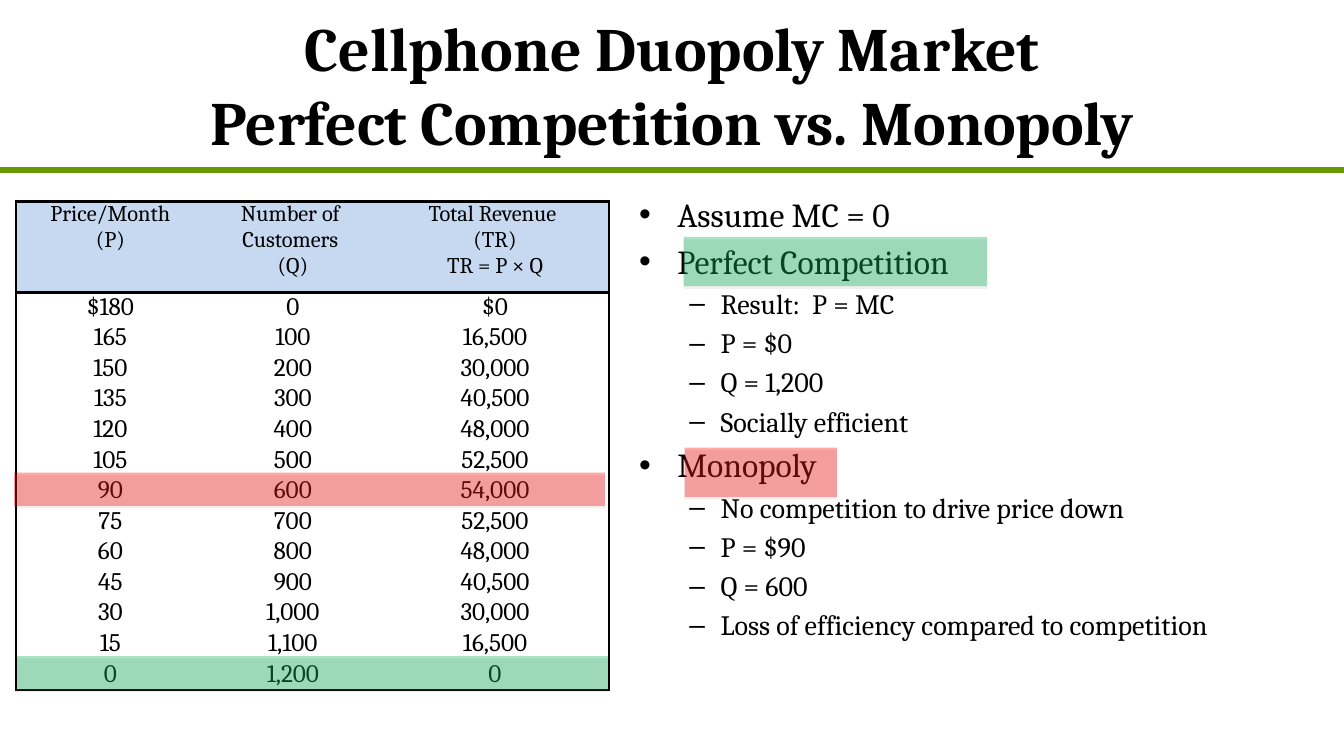
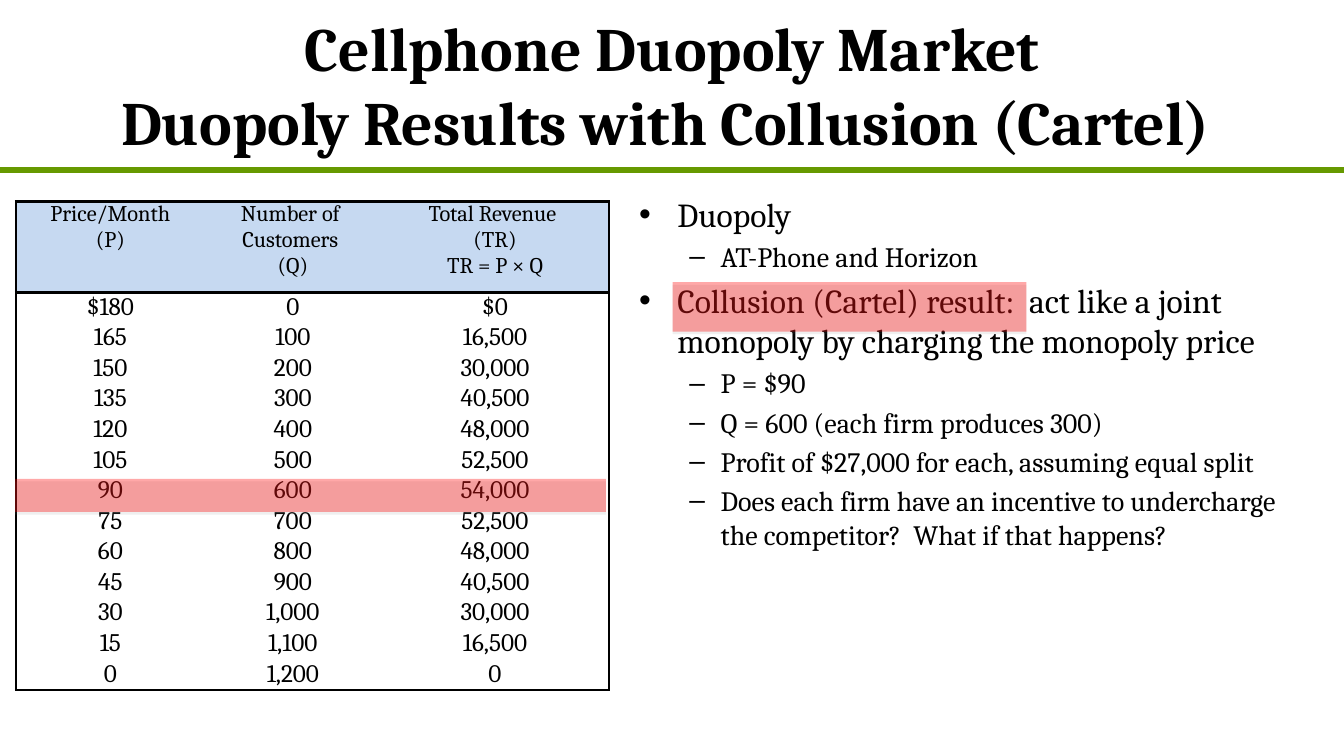
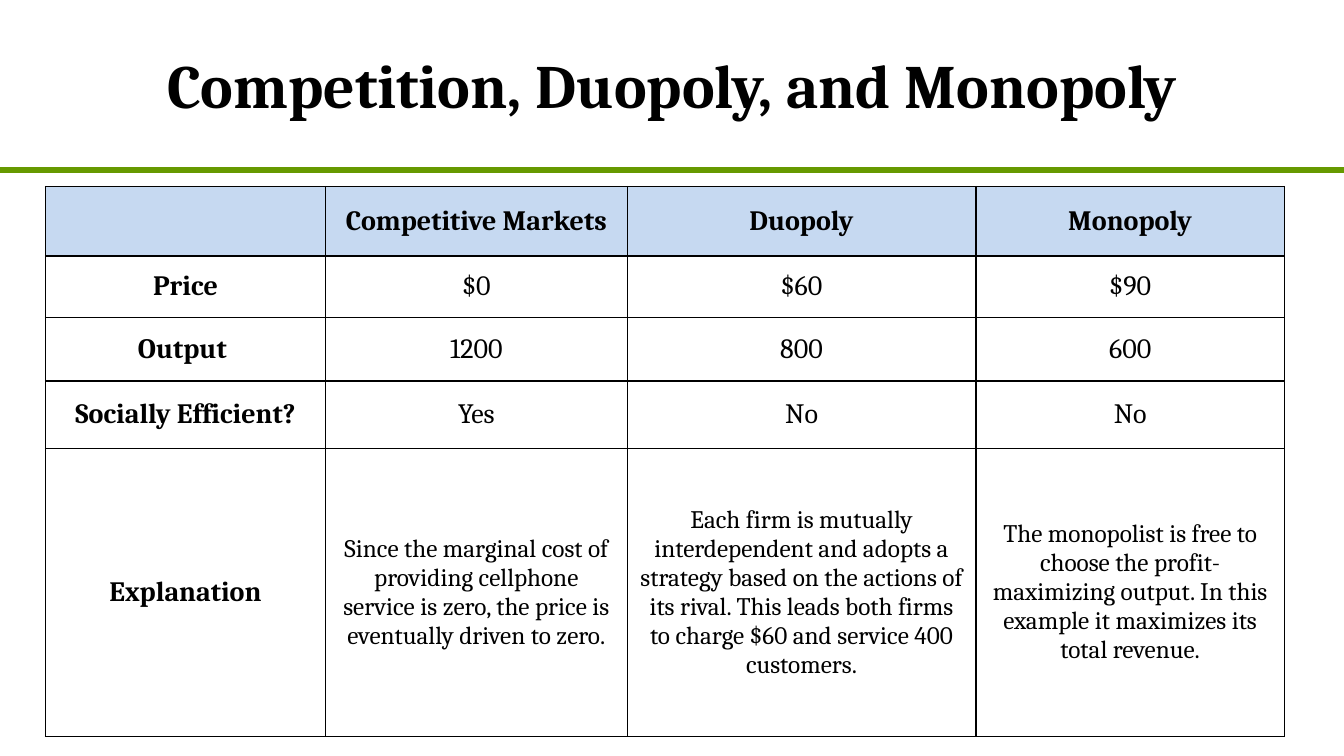
from lxml.etree import SubElement
from pptx import Presentation
from pptx.dml.color import RGBColor
from pptx.enum.shapes import MSO_CONNECTOR, MSO_SHAPE
from pptx.enum.text import MSO_ANCHOR, PP_ALIGN
from pptx.oxml import parse_xml
from pptx.oxml.ns import nsdecls, qn
from pptx.util import Inches, Pt

FONT = "Cambria"
BLACK = RGBColor(0x00, 0x00, 0x00)
RULE_GREEN = RGBColor(0x66, 0x99, 0x00)
HEADER_BLUE = RGBColor(0xC6, 0xD9, 0xF1)
GREEN = RGBColor(0x00, 0xB0, 0x50)
RED = RGBColor(0xFF, 0x00, 0x00)
SHADOW_GREY = RGBColor(0x80, 0x80, 0x80)
HIGHLIGHT_OPACITY = 34

SLIDE_WIDTH, SLIDE_HEIGHT = 13.33, 7.5
RULE_TOP = 1.69

# Level: bullet, left margin, hanging indent, text size
BULLETS = [("•", 0.38, 0.38, 24), ("–", 0.81, 0.31, 20)]

DEMAND_HEADER = [
    "Price/Month\n(P)",
    "Number of \nCustomers \n(Q)",
    "Total Revenue \n(TR)\nTR = P × Q",
]
DEMAND_COLUMNS = [1.87, 1.75, 2.26]
DEMAND_HEIGHT, DEMAND_HEADER_HEIGHT = 4.85, 0.9
TOP_PRICE, PRICE_STEP, QUANTITY_STEP, PRICE_COUNT = 180, 15, 100, 13

# Points are (level, text); highlights are (left, top, width, height, colour)
MARKET_SLIDES = [
    {
        "title": "Cellphone Duopoly Market\nPerfect Competition vs. Monopoly",
        "points": [
            (0, "Assume MC = 0"),
            (0, "Perfect Competition"),
            (1, "Result:  P = MC"),
            (1, "P = $0"),
            (1, "Q = 1,200"),
            (1, "Socially efficient"),
            (0, "Monopoly"),
            (1, "No competition to drive price down"),
            (1, "P = $90"),
            (1, "Q = 600"),
            (1, "Loss of efficiency compared to competition"),
        ],
        "highlights": [
            (6.78, 2.35, 3.01, 0.49, GREEN),
            (0.17, 6.51, 5.86, 0.33, GREEN),
            (0.14, 4.69, 5.86, 0.33, RED),
            (6.79, 4.44, 1.51, 0.49, RED),
        ],
    },
    {
        "title": "Cellphone Duopoly Market\nDuopoly Results with Collusion (Cartel) ",
        "points": [
            (0, "Duopoly"),
            (1, "AT-Phone and Horizon"),
            (0, "Collusion (Cartel) result:  act like a joint monopoly "
                "by charging the monopoly price"),
            (1, "P = $90"),
            (1, "Q = 600 (each firm produces 300)"),
            (1, "Profit of $27,000 for each, assuming equal split"),
            (1, "Does each firm have an incentive to undercharge the competitor?  "
                "What if that happens?"),
        ],
        "highlights": [
            (0.15, 4.75, 5.86, 0.33, RED),
            (6.67, 2.8, 3.51, 0.49, RED),
        ],
    },
]

COMPARISON_TITLE = "Competition, Duopoly, and Monopoly"
COMPARISON_COLUMNS = [2.78, 2.99, 3.46, 3.06]
COMPARISON_ROWS = [0.69, 0.61, 0.63, 0.67, 2.86]
COMPARISON = [
    ["", "Competitive Markets", "Duopoly", "Monopoly"],
    ["Price", "$0", "$60", "$90"],
    ["Output ", "1200", "800", "600"],
    ["Socially Efficient?", "Yes", "No", "No"],
    [
        "Explanation",
        "Since the marginal cost of providing cellphone service is zero, "
        "the price is eventually driven to zero.",
        "Each firm is mutually interdependent and adopts a strategy based on the "
        "actions of its rival. This leads both firms to charge $60 and service "
        "400 customers.",
        "The monopolist is free to choose the profit-maximizing output. "
        "In this example it maximizes its total revenue.",
    ],
]


def style_text(paragraph, size, bold=False):
    for span in paragraph.runs:
        span.font.name = FONT
        span.font.size = Pt(size)
        span.font.bold = bold
        span.font.color.rgb = BLACK


def add_text_box(page, left, top, width, height, text):
    box = page.shapes.add_textbox(*map(Inches, (left, top, width, height)))
    frame = box.text_frame
    frame.word_wrap = True
    frame.text = text
    return frame


def add_page(deck, title):
    """Add a blank slide with the green rule and the centred title."""
    page = deck.slides.add_slide(deck.slide_layouts[6])
    rule = page.shapes.add_connector(
        MSO_CONNECTOR.STRAIGHT, 0, Inches(RULE_TOP), Inches(SLIDE_WIDTH), Inches(RULE_TOP))
    rule.line.color.rgb = RULE_GREEN
    rule.line.width = Pt(4.5)
    SubElement(rule._element.spPr, qn("a:effectLst"))
    frame = add_text_box(page, 0.67, 0, 12, 1.67, title)
    frame.vertical_anchor = MSO_ANCHOR.MIDDLE
    for paragraph in frame.paragraphs:
        paragraph.alignment = PP_ALIGN.CENTER
        style_text(paragraph, 44, bold=True)
    return page


def set_borders(cell, sides, width):
    """Draw the named sides (out of L, R, T, B) and clear the others."""
    properties = cell._tc.get_or_add_tcPr()
    for side in "LRTB":
        border = SubElement(properties, qn(f"a:ln{side}"), w=str(Pt(width)))
        if side in sides:
            fill = SubElement(border, qn("a:solidFill"))
            SubElement(fill, qn("a:srgbClr"), val=str(BLACK))
        else:
            SubElement(border, qn("a:noFill"))


def add_grid(page, left, top, columns, heights, rows):
    """Add a plain table with a blue header row and centred cells."""
    table = page.shapes.add_table(
        len(rows), len(columns), Inches(left), Inches(top),
        Inches(sum(columns)), Inches(sum(heights))).table
    table.first_row = table.horz_banding = False
    for column, width in zip(table.columns, columns):
        column.width = Inches(width)
    for row, height in zip(table.rows, heights):
        row.height = Inches(height)
    for r, texts in enumerate(rows):
        for c, text in enumerate(texts):
            cell = table.cell(r, c)
            cell.margin_top = cell.margin_bottom = 0
            cell.text = text
            for paragraph in cell.text_frame.paragraphs:
                paragraph.alignment = PP_ALIGN.CENTER
    return table


def fill_cell(cell, is_header):
    if is_header:
        cell.fill.solid()
        cell.fill.fore_color.rgb = HEADER_BLUE
    else:
        cell.fill.background()


def demand_rows():
    rows = [DEMAND_HEADER]
    for step in range(PRICE_COUNT):
        price, quantity = TOP_PRICE - PRICE_STEP * step, QUANTITY_STEP * step
        sign = "" if step else "$"
        rows.append([f"{sign}{price}", f"{quantity:,}", f"{sign}{price * quantity:,}"])
    return rows


def add_demand_table(page):
    row_height = (DEMAND_HEIGHT - DEMAND_HEADER_HEIGHT) / PRICE_COUNT
    heights = [DEMAND_HEADER_HEIGHT] + [row_height] * PRICE_COUNT
    table = add_grid(page, 0.16, 2, DEMAND_COLUMNS, heights, demand_rows())
    last_column = len(DEMAND_COLUMNS) - 1
    for r in range(PRICE_COUNT + 1):
        for c in range(last_column + 1):
            cell = table.cell(r, c)
            sides = {0: "TB", 1: "T", PRICE_COUNT: "B"}.get(r, "")
            sides += {0: "L", last_column: "R"}.get(c, "")
            set_borders(cell, sides, 2.25)
            fill_cell(cell, r == 0)
            for paragraph in cell.text_frame.paragraphs:
                style_text(paragraph, 18 if r else 16)


def add_comparison_table(page):
    table = add_grid(page, 0.45, 1.85, COMPARISON_COLUMNS, COMPARISON_ROWS, COMPARISON)
    last_row = len(COMPARISON) - 1
    for r, texts in enumerate(COMPARISON):
        for c in range(len(texts)):
            cell = table.cell(r, c)
            cell.vertical_anchor = MSO_ANCHOR.MIDDLE
            set_borders(cell, "LRTB", 1)
            fill_cell(cell, r == 0)
            is_label = r == 0 or c == 0
            size = 18 if r == last_row and not is_label else 20
            style_text(cell.text_frame.paragraphs[0], size, bold=is_label)


def add_points(page, points):
    frame = add_text_box(page, 6.24, 1.87, 6.63, 5.35, "\n".join(text for _, text in points))
    for index, (level, _) in enumerate(points):
        paragraph = frame.paragraphs[index]
        bullet, margin, hanging, size = BULLETS[level]
        paragraph.level = level
        properties = paragraph._p.get_or_add_pPr()
        properties.set("marL", str(Inches(margin)))
        properties.set("indent", str(-Inches(hanging)))
        SubElement(properties, qn("a:buFont"), typeface="Arial")
        SubElement(properties, qn("a:buChar"), char=bullet)
        if index:
            paragraph.space_before = Pt(size * 0.2)
        style_text(paragraph, size)


def add_highlight(page, left, top, width, height, color):
    """Add a see-through marker with a thin shadow below it."""
    marker = page.shapes.add_shape(
        MSO_SHAPE.RECTANGLE, *map(Inches, (left, top, width, height)))
    marker.fill.solid()
    marker.fill.fore_color.rgb = color
    marker.line.fill.background()
    properties = marker._element.spPr
    fill_color = properties.find(qn("a:solidFill")).find(qn("a:srgbClr"))
    SubElement(fill_color, qn("a:alpha"), val=str(HIGHLIGHT_OPACITY * 1000))
    properties.append(parse_xml(
        f'<a:effectLst {nsdecls("a")}>'
        f'<a:outerShdw blurRad="0" dist="{Pt(1.8)}" dir="5400000" rotWithShape="0">'
        f'<a:srgbClr val="{SHADOW_GREY}"><a:alpha val="35000"/></a:srgbClr>'
        '</a:outerShdw></a:effectLst>'))


def main():
    deck = Presentation()
    deck.slide_width = Inches(SLIDE_WIDTH)
    deck.slide_height = Inches(SLIDE_HEIGHT)
    for content in MARKET_SLIDES:
        page = add_page(deck, content["title"])
        add_demand_table(page)
        add_points(page, content["points"])
        for highlight in content["highlights"]:
            add_highlight(page, *highlight)
    add_comparison_table(add_page(deck, COMPARISON_TITLE))
    deck.save("out.pptx")


if __name__ == "__main__":
    main()
